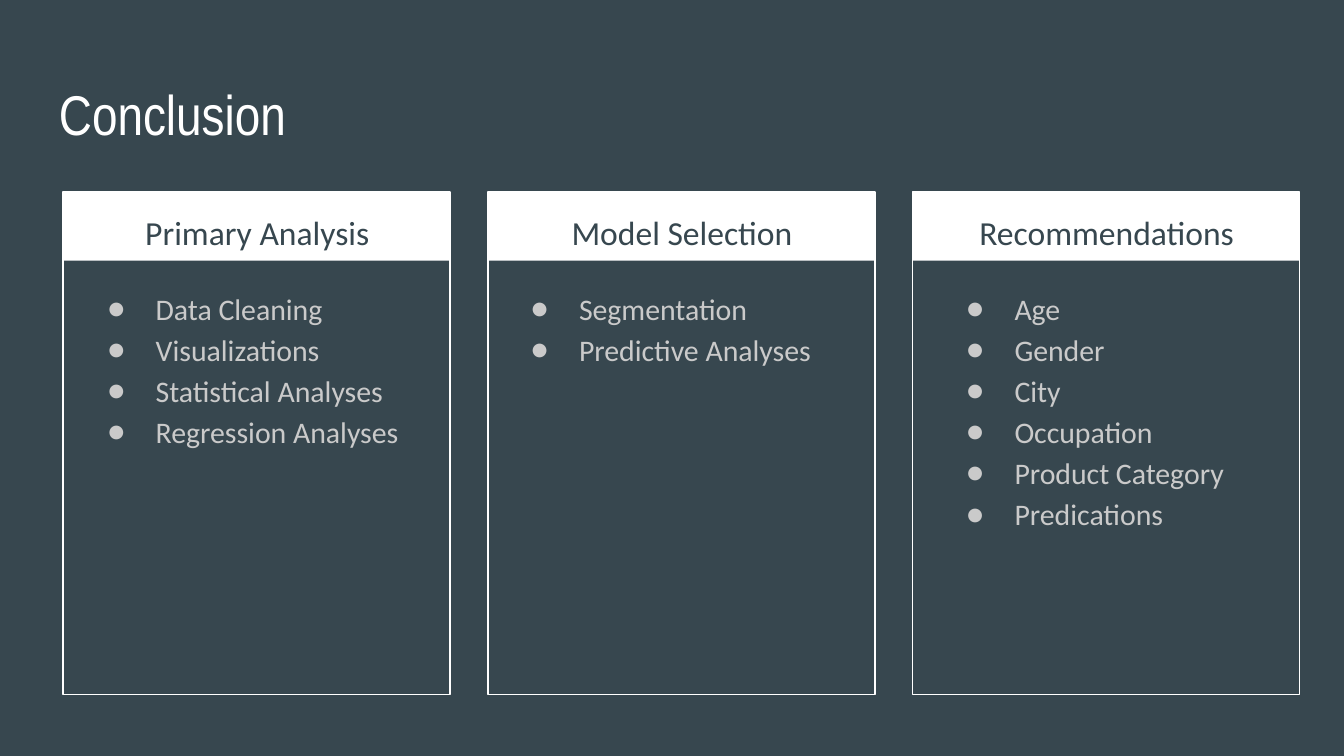
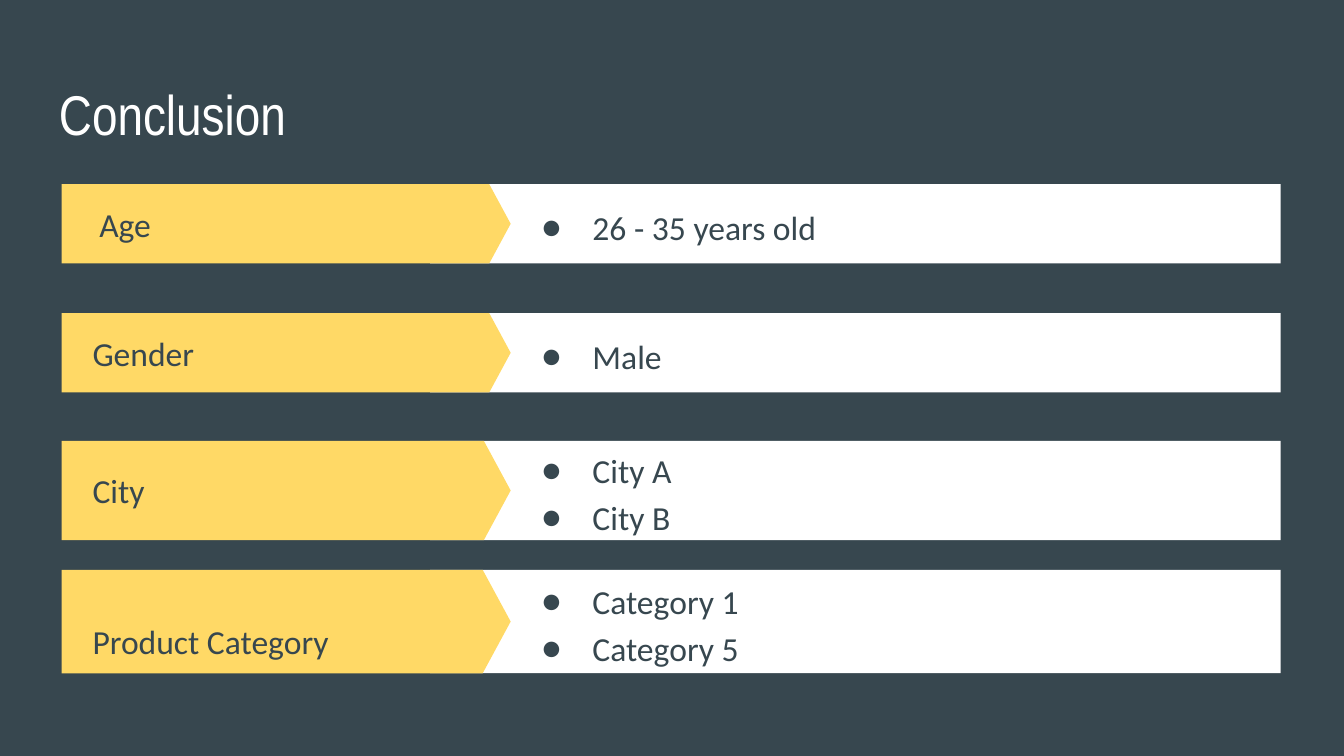
from dataclasses import dataclass

from lxml.etree import SubElement
from pptx import Presentation
from pptx.dml.color import RGBColor
from pptx.enum.shapes import MSO_SHAPE
from pptx.enum.text import MSO_ANCHOR, PP_ALIGN
from pptx.oxml.ns import qn
from pptx.util import Inches, Pt


@dataclass(frozen=True)
class Theme:
    slate: str = "37474F"
    white: str = "FFFFFF"
    grey: str = "CACACA"
    yellow: str = "FFD966"
    title_font: str = "Arial Narrow"
    body_font: str = "Calibri"
    title_size: int = 30
    heading_size: int = 18
    list_size: int = 16
    line_width: float = 0.75


def add_bullet(para, font, color, hanging):
    """Give a paragraph a round bullet and a hanging indent."""
    properties = para._p.get_or_add_pPr()
    properties.set("marL", str(Inches(0.5)))
    properties.set("indent", str(-Inches(hanging)))
    bullet_color = SubElement(properties, qn("a:buClr"))
    SubElement(bullet_color, qn("a:srgbClr")).set("val", color)
    SubElement(properties, qn("a:buFont")).set("typeface", font)
    SubElement(properties, qn("a:buChar")).set("char", "●")


def write_text(frame, lines, *, font, size, color, align=PP_ALIGN.LEFT,
               anchor=MSO_ANCHOR.TOP, spacing=1.0, hanging=None):
    """Fill a text frame; a hanging indent turns its lines into bullets."""
    frame.word_wrap = True
    frame.vertical_anchor = anchor
    frame.margin_left = frame.margin_right = Inches(0.1)
    frame.margin_top = frame.margin_bottom = Inches(0.1)
    for index, line in enumerate(lines):
        para = frame.add_paragraph() if index else frame.paragraphs[0]
        para.alignment = align
        para.line_spacing = spacing
        if hanging:
            add_bullet(para, font, color, hanging)
        span = para.add_run()
        span.text = line
        span.font.name = font
        span.font.size = Pt(size)
        span.font.color.rgb = RGBColor.from_string(color)


class SlideBuilder:
    def __init__(self, deck, theme):
        self.deck = deck
        self.theme = theme
        self.page = None

    def start(self, title):
        """Open a page with the shared background and title."""
        theme = self.theme
        self.page = self.deck.slides.add_slide(self.deck.slide_layouts[6])
        background = self.page.background.fill
        background.solid()
        background.fore_color.rgb = RGBColor.from_string(theme.slate)
        self.text([title], 0.34, 0.49, 9.32, 0.63, font=theme.title_font,
                  size=theme.title_size, color=theme.white)

    def text(self, lines, left, top, width, height, **style):
        box = self.page.shapes.add_textbox(
            Inches(left), Inches(top), Inches(width), Inches(height))
        style.setdefault("font", self.theme.body_font)
        style.setdefault("size", self.theme.heading_size)
        style.setdefault("color", self.theme.slate)
        write_text(box.text_frame, lines, **style)

    def shape(self, left, top, width, height, kind=MSO_SHAPE.RECTANGLE,
              fill=None, line=None):
        shape = self.page.shapes.add_shape(
            kind, Inches(left), Inches(top), Inches(width), Inches(height))
        shape.shadow.inherit = False
        if fill:
            shape.fill.solid()
            shape.fill.fore_color.rgb = RGBColor.from_string(fill)
        else:
            shape.fill.background()
        if line:
            shape.line.color.rgb = RGBColor.from_string(line)
            shape.line.width = Pt(self.theme.line_width)
        else:
            shape.line.fill.background()
        return shape

    def card(self, left, heading, items, list_left):
        """Outlined column with a filled heading and a bullet list."""
        theme = self.theme
        top, width = 1.43, 2.88
        self.shape(left, top, width, 0.51, fill=theme.white)
        self.shape(left, top, width, 3.74, line=theme.white)
        self.text([heading], left + 0.08, top, 2.73, 0.5,
                  align=PP_ALIGN.CENTER, spacing=1.15)
        self.text(items, list_left, 2.02, 2.71, 3.06, size=theme.list_size,
                  color=theme.grey, spacing=1.15, hanging=0.36)

    def row(self, top, height, label, items, label_left=0.59,
            label_top=None, label_spacing=1.0):
        """Arrow label over a white bar; text is centred on the bar by default."""
        text_height = 0.87
        centred_top = top + (height - text_height) / 2
        self.shape(3.2, top, 6.33, height, fill=self.theme.white)
        arrow = self.shape(0.46, top, 3.34, height, MSO_SHAPE.PENTAGON,
                           fill=self.theme.yellow)
        arrow.adjustments[0] = 0.27
        self.text([label], label_left, label_top or centred_top, 2.65,
                  text_height, anchor=MSO_ANCHOR.MIDDLE, spacing=label_spacing)
        self.text(items, 3.81, centred_top, 5.59, text_height,
                  anchor=MSO_ANCHOR.MIDDLE, spacing=1.15, hanging=0.38)


# First slide: three outlined columns
def build_summary(builder):
    builder.start("Conclusion")
    cards = [
        ("Primary Analysis", 0.56, ["Data Cleaning", "Visualizations",
                                    "Statistical Analyses", "Regression Analyses"]),
        ("Model Selection", 3.71, ["Segmentation", "Predictive Analyses"]),
        ("Recommendations", 6.95, ["Age", "Gender", "City", "Occupation",
                                   "Product Category", "Predications"]),
    ]
    for index, (heading, list_left, items) in enumerate(cards):
        builder.card(0.47 + 3.16 * index, heading, items, list_left)


# Second slide: four labelled bars
def build_recommendations(builder):
    builder.start("Conclusion")
    builder.row(1.37, 0.59, "Age", ["26 - 35 years old"], label_left=0.64)
    builder.row(2.33, 0.59, "Gender", ["Male"])
    builder.row(3.28, 0.74, "City", ["City A", "City B"])
    builder.row(4.24, 0.77, "Product Category", ["Category 1", "Category 5"],
                label_top=4.31, label_spacing=1.15)


def main():
    deck = Presentation()
    deck.slide_width = Inches(10)
    deck.slide_height = Inches(10 * 9 / 16)
    builder = SlideBuilder(deck, Theme())
    build_summary(builder)
    build_recommendations(builder)
    deck.save("out.pptx")


if __name__ == "__main__":
    main()
